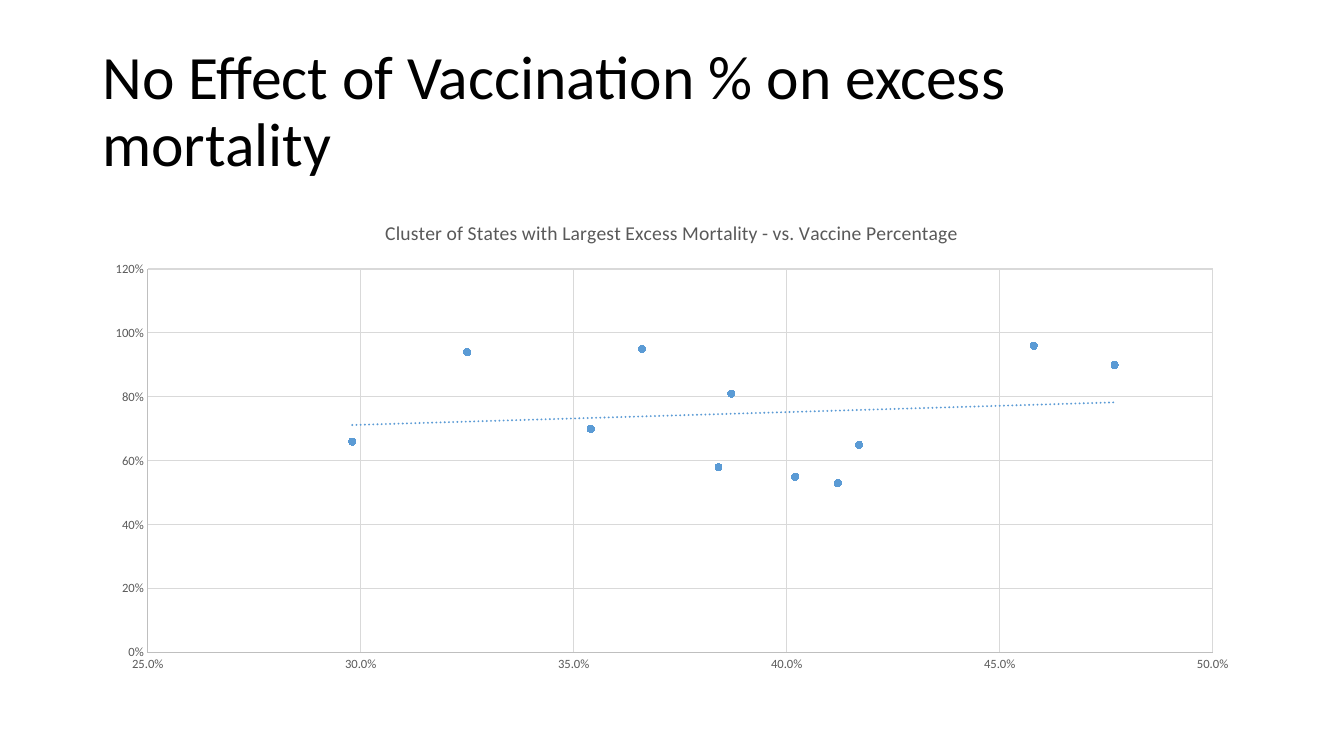
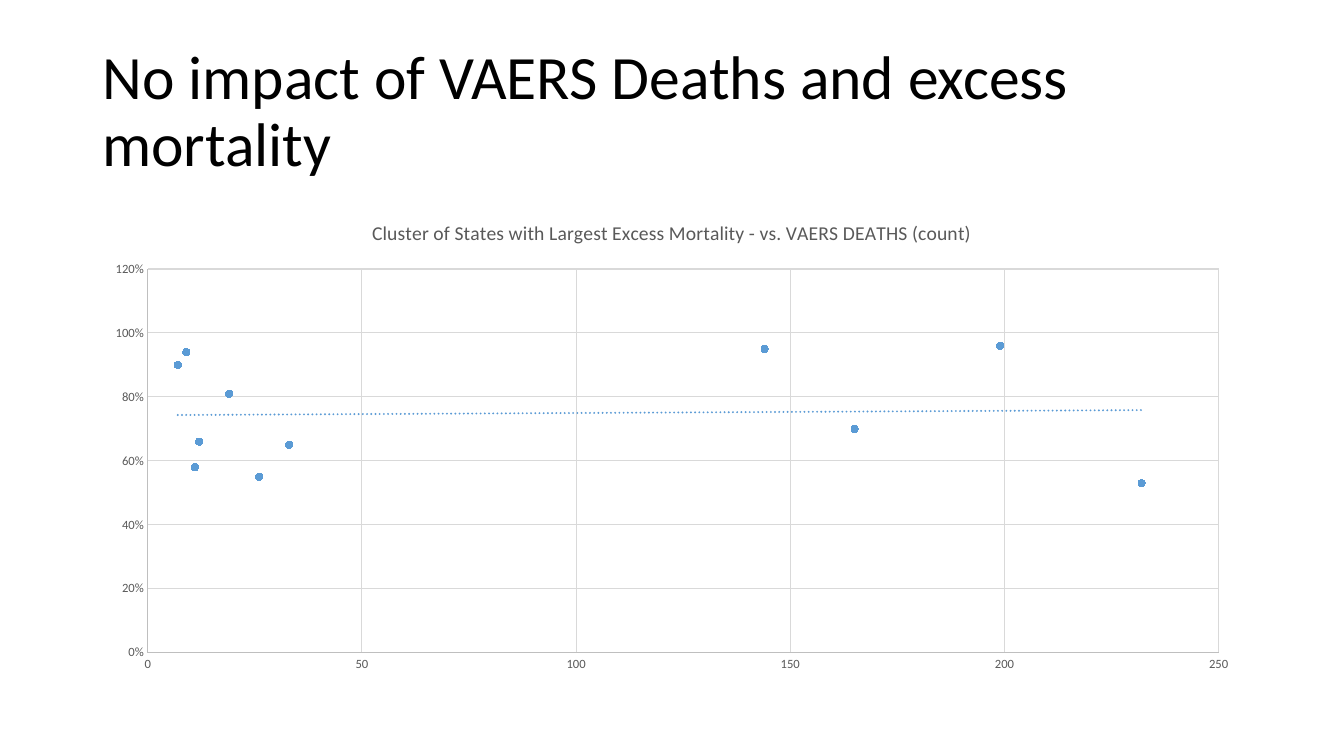
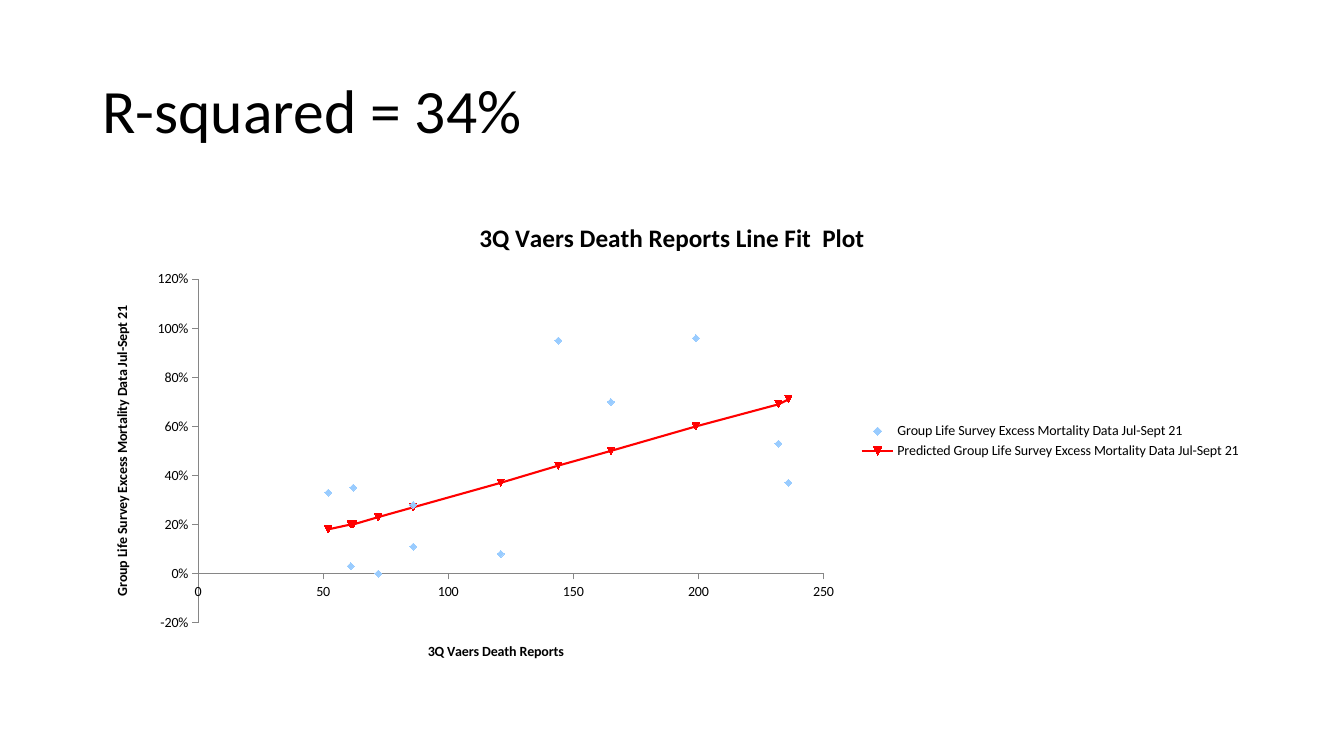
from lxml import etree
from pptx import Presentation
from pptx.chart.data import XyChartData
from pptx.dml.color import RGBColor
from pptx.enum.chart import XL_CHART_TYPE as CT, XL_LEGEND_POSITION as LP
from pptx.enum.chart import XL_MARKER_STYLE as MS, XL_TICK_MARK as TM
from pptx.enum.text import MSO_ANCHOR
from pptx.oxml import parse_xml
from pptx.oxml.ns import nsdecls
from pptx.util import Cm, Pt

FONT = "Calibri"
BLACK = RGBColor(0x00, 0x00, 0x00)
GRAY = RGBColor(0x59, 0x59, 0x59)
AXIS_GRAY = RGBColor(0xBF, 0xBF, 0xBF)
DARK_AXIS = RGBColor(0x86, 0x86, 0x86)
GRID_GRAY = RGBColor(0xD9, 0xD9, 0xD9)
BLUE = RGBColor(0x5B, 0x9B, 0xD5)
LIGHT_BLUE = RGBColor(0x99, 0xCC, 0xFF)
RED = RGBColor(0xFF, 0x00, 0x00)

LEFT, WIDTH = Cm(2.33), Cm(29.21)

# Content
MORTALITY = [0.96, 0.95, 0.94, 0.9, 0.81, 0.7, 0.66, 0.65, 0.58, 0.55, 0.53]
VACCINATED = [0.458, 0.366, 0.325, 0.477, 0.387, 0.354, 0.298, 0.417, 0.384,
              0.402, 0.412]
VAERS_DEATHS = [199, 144, 9, 7, 19, 165, 12, 33, 11, 26, 232]

REPORTS = [236, 232, 199, 165, 144, 121, 86, 86, 72, 62, 61, 52]
SURVEY = [0.37, 0.53, 0.96, 0.7, 0.95, 0.08, 0.28, 0.11, 0, 0.35, 0.03, 0.33]
PREDICTED = [0.71, 0.69, 0.6, 0.5, 0.44, 0.37, 0.27, 0.27, 0.23, 0.2, 0.2,
             0.18]
SURVEY_NAME = "Group Life Survey Excess Mortality Data Jul-Sept 21"

# Slide title, chart title, x values, x axis (min, max, step, format)
CLUSTERS = [
    ("No Effect of Vaccination % on excess mortality",
     "Cluster of States with Largest Excess Mortality - vs. Vaccine Percentage",
     VACCINATED, (0.25, 0.5, 0.05, "0.0%")),
    ("No impact of VAERS Deaths and excess mortality",
     "Cluster of States with Largest Excess Mortality - vs. VAERS DEATHS (count)",
     VAERS_DEATHS, (0, 250, 50, "General")),
]


def style_font(font, size, color, bold=False):
    font.name, font.size, font.bold = FONT, Pt(size), bold
    font.color.rgb = color


def set_text(tf, text, size, color, bold=False):
    p = tf.paragraphs[0]
    r = p.add_run()
    r.text = text
    style_font(r.font, size, color, bold)
    return p


def add_slide(prs, title):
    slide = prs.slides.add_slide(prs.slide_layouts[6])
    tf = slide.shapes.add_textbox(LEFT, Cm(1.01), WIDTH, Cm(3.68)).text_frame
    tf.word_wrap = True
    tf.vertical_anchor = MSO_ANCHOR.MIDDLE
    set_text(tf, title, 44, BLACK).line_spacing = 0.9
    return slide


def add_scatter(slide, series):
    data = XyChartData()
    for name, xs, ys in series:
        s = data.add_series(name)
        for x, y in zip(xs, ys):
            s.add_data_point(x, y)
    chart = slide.shapes.add_chart(CT.XY_SCATTER, LEFT, Cm(5.07), WIDTH,
                                   Cm(12.09), data).chart
    style_font(chart.font, 10, BLACK)
    chart.has_legend = False
    chart.plots[0].vary_by_categories = False
    return chart


def style_axis(axis, scale, size, color, line, tick, grid=None):
    low, high, step, number_format = scale
    axis.minimum_scale, axis.maximum_scale, axis.major_unit = low, high, step
    labels = axis.tick_labels
    labels.number_format, labels.number_format_is_linked = number_format, False
    style_font(labels.font, size, color)
    axis.major_tick_mark, axis.minor_tick_mark = tick, TM.NONE
    axis.format.line.color.rgb = line
    axis.format.line.width = Pt(0.75)
    axis.has_major_gridlines = grid is not None
    if grid is not None:
        axis.major_gridlines.format.line.color.rgb = grid
        axis.major_gridlines.format.line.width = Pt(0.75)


def style_marker(series, size, color, style=None):
    marker = series.marker
    if style is not None:
        marker.style = style
    marker.size = size
    marker.format.fill.solid()
    marker.format.fill.fore_color.rgb = color
    marker.format.line.color.rgb = color


def add_trend(series, color):
    trend = parse_xml(
        f'<c:trendline {nsdecls("c", "a")}><c:spPr><a:ln w="{Pt(1.5)}" cap="rnd">'
        f'<a:solidFill><a:srgbClr val="{color}"/></a:solidFill>'
        '<a:prstDash val="sysDot"/></a:ln></c:spPr>'
        '<c:trendlineType val="linear"/><c:dispRSqr val="0"/>'
        '<c:dispEq val="0"/></c:trendline>')
    x_values = next(el for el in series._element
                    if etree.QName(el).localname == "xVal")
    x_values.addprevious(trend)


def cluster_slide(prs, title, chart_title, xs, x_scale):
    chart = add_scatter(add_slide(prs, title), [("Series 1", xs, MORTALITY)])
    set_text(chart.chart_title.text_frame, chart_title, 14, GRAY)
    for axis, scale in ((chart.category_axis, x_scale),
                        (chart.value_axis, (0, 1.2, 0.2, "0%"))):
        style_axis(axis, scale, 9, GRAY, AXIS_GRAY, TM.NONE, GRID_GRAY)
    points = chart.series[0]
    points.format.line.fill.background()
    style_marker(points, 5, BLUE, MS.CIRCLE)
    add_trend(points, BLUE)


def fit_slide(prs):
    chart = add_scatter(add_slide(prs, "R-squared = 34%"), [
        (SURVEY_NAME, REPORTS, SURVEY),
        ("Predicted " + SURVEY_NAME, REPORTS, PREDICTED)])
    set_text(chart.chart_title.text_frame,
             "3Q Vaers Death Reports Line Fit  Plot", 18, BLACK, True)
    for axis, name, scale in (
            (chart.category_axis, "3Q Vaers Death Reports",
             (0, 250, 50, "General")),
            (chart.value_axis, SURVEY_NAME, (-0.2, 1.2, 0.2, "0%"))):
        style_axis(axis, scale, 10, BLACK, DARK_AXIS, TM.OUTSIDE)
        set_text(axis.axis_title.text_frame, name, 10, BLACK, True)
    chart.has_legend = True
    chart.legend.position = LP.RIGHT
    chart.legend.include_in_layout = False
    style_font(chart.legend.font, 10, BLACK)
    survey, predicted = chart.series
    survey.format.line.fill.background()
    style_marker(survey, 5, LIGHT_BLUE, MS.DIAMOND)
    predicted.smooth = False
    predicted.format.line.color.rgb = RED
    predicted.format.line.width = Pt(1.5)
    style_marker(predicted, 5, RED)


def main():
    prs = Presentation()
    prs.slide_width, prs.slide_height = Cm(33.87), Cm(19.05)
    for cluster in CLUSTERS:
        cluster_slide(prs, *cluster)
    fit_slide(prs)
    prs.save("out.pptx")


if __name__ == "__main__":
    main()
